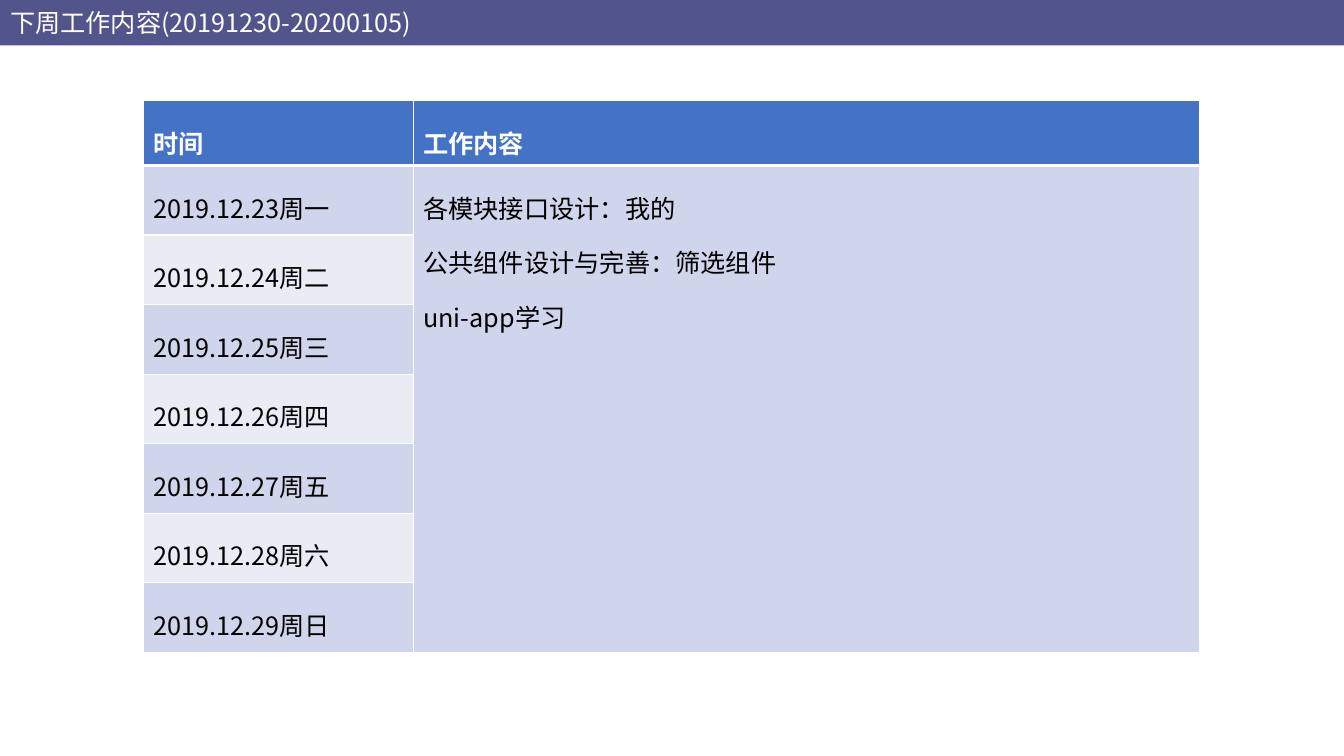
from dataclasses import dataclass

from lxml.etree import SubElement
from pptx import Presentation
from pptx.dml.color import RGBColor
from pptx.enum.text import MSO_ANCHOR, MSO_AUTO_SIZE, PP_ALIGN
from pptx.oxml.ns import qn
from pptx.slide import Slide
from pptx.table import Table, _Cell as Cell
from pptx.text.text import TextFrame
from pptx.util import Inches, Pt

COLORS = {
    "bar": "51558B",
    "header": "4472C4",
    "odd": "CFD5EA",
    "even": "E9EBF5",
    "light": "FFFFFF",
    "dark": "000000",
}
FONT = "Noto Sans CJK SC"
TEXT_SIZE = Pt(18)
SLIDE_WIDTH = Inches(13.33)
SLIDE_HEIGHT = Inches(7.5)
COLUMN_SHARES = (20.1, 58.51)
HEADER_SHARE = 5.6
DAY_SHARE = 9.2
THIN, THICK = 1, 3
TITLE = "下周工作内容(20191230-20200105)"
HEADINGS = ("时间", "工作内容")
FIRST_DAY = 23
WEEKDAYS = "一二三四五六日"
TASKS = ("各模块接口设计：我的", "公共组件设计与完善：筛选组件", "uni-app学习")


@dataclass(frozen=True)
class CellStyle:
    fill: str
    text: str = "dark"
    bold: bool = False
    top: int = THIN
    bottom: int = THIN


def across(percent: float) -> int:
    return round(SLIDE_WIDTH * percent / 100)


def down(percent: float) -> int:
    return round(SLIDE_HEIGHT * percent / 100)


def rgb(name: str) -> RGBColor:
    return RGBColor.from_string(COLORS[name])


def format_text(text_frame: TextFrame, color: str, bold: bool, spacing: float) -> None:
    for paragraph in text_frame.paragraphs:
        paragraph.alignment = PP_ALIGN.LEFT
        paragraph.line_spacing = spacing
        for run in paragraph.runs:
            run.font.name = FONT
            run.font.size = TEXT_SIZE
            run.font.bold = bold
            run.font.color.rgb = rgb(color)
            SubElement(run.font._element, qn("a:ea"), typeface=FONT)


def style_cell(cell: Cell, style: CellStyle) -> None:
    properties = cell._tc.get_or_add_tcPr()
    widths = {"lnL": THIN, "lnR": THIN, "lnT": style.top, "lnB": style.bottom}
    for side, width in widths.items():
        border = SubElement(properties, qn(f"a:{side}"), w=str(Pt(width)))
        line_fill = SubElement(border, qn("a:solidFill"))
        SubElement(line_fill, qn("a:srgbClr"), val=COLORS["light"])
    cell.fill.solid()
    cell.fill.fore_color.rgb = rgb(style.fill)
    format_text(cell.text_frame, style.text, style.bold, 1.5)


def row_style(row: int, column: int) -> CellStyle:
    if row == 0:
        return CellStyle("header", "light", bold=True, bottom=THICK)
    fill = "odd" if row % 2 or column == 1 else "even"
    return CellStyle(fill, top=THICK if row == 1 else THIN)


def add_title_bar(slide: Slide) -> None:
    title = slide.shapes.title
    title.left, title.top = 0, 0
    title.width, title.height = SLIDE_WIDTH, down(6)
    title.fill.solid()
    title.fill.fore_color.rgb = rgb("bar")
    text_frame = title.text_frame
    text_frame.text = TITLE
    text_frame.word_wrap = True
    text_frame.auto_size = MSO_AUTO_SIZE.NONE
    text_frame.vertical_anchor = MSO_ANCHOR.MIDDLE
    format_text(text_frame, "light", False, 1.0)


def fill_table(table: Table) -> None:
    for column, heading in enumerate(HEADINGS):
        table.cell(0, column).text_frame.text = heading
    for row, weekday in enumerate(WEEKDAYS, start=1):
        day = FIRST_DAY + row - 1
        table.cell(row, 0).text_frame.text = f"2019.12.{day}周{weekday}"
    tasks = table.cell(1, 1)
    tasks.merge(table.cell(len(WEEKDAYS), 1))
    tasks.text_frame.text = "\n".join(TASKS)


def add_schedule(slide: Slide) -> None:
    row_shares = [HEADER_SHARE] + [DAY_SHARE] * len(WEEKDAYS)
    table = slide.shapes.add_table(
        len(row_shares), len(COLUMN_SHARES), across(10.65), down(13.33),
        across(sum(COLUMN_SHARES)), down(sum(row_shares)),
    ).table
    for column, share in zip(table.columns, COLUMN_SHARES):
        column.width = across(share)
    for row, share in zip(table.rows, row_shares):
        row.height = down(share)
    fill_table(table)
    for row in range(len(row_shares)):
        for column in range(len(COLUMN_SHARES)):
            style_cell(table.cell(row, column), row_style(row, column))


def main() -> None:
    presentation = Presentation()
    presentation.slide_width = SLIDE_WIDTH
    presentation.slide_height = SLIDE_HEIGHT
    slide = presentation.slides.add_slide(presentation.slide_layouts[5])
    add_schedule(slide)
    add_title_bar(slide)
    presentation.save("out.pptx")


if __name__ == "__main__":
    main()
